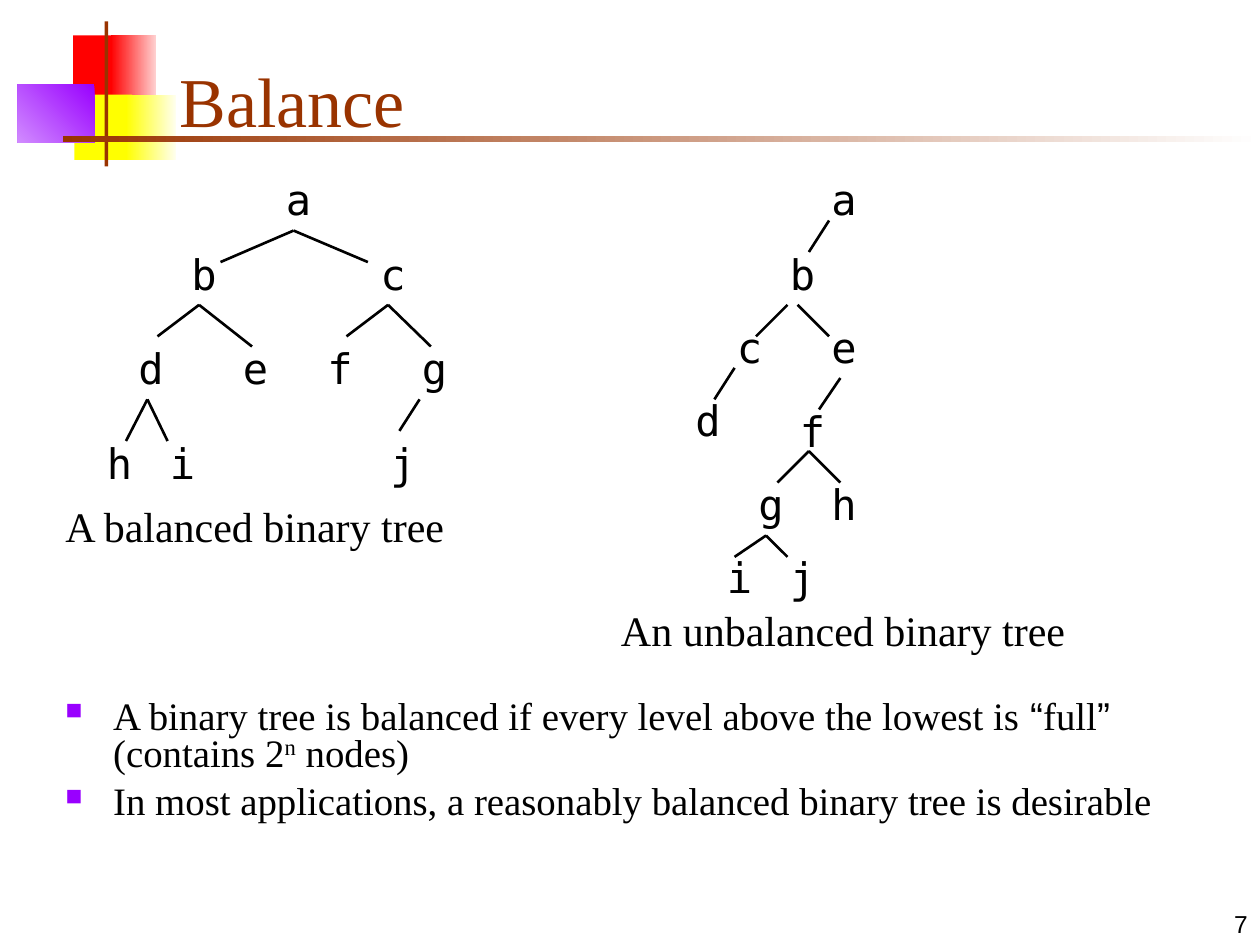
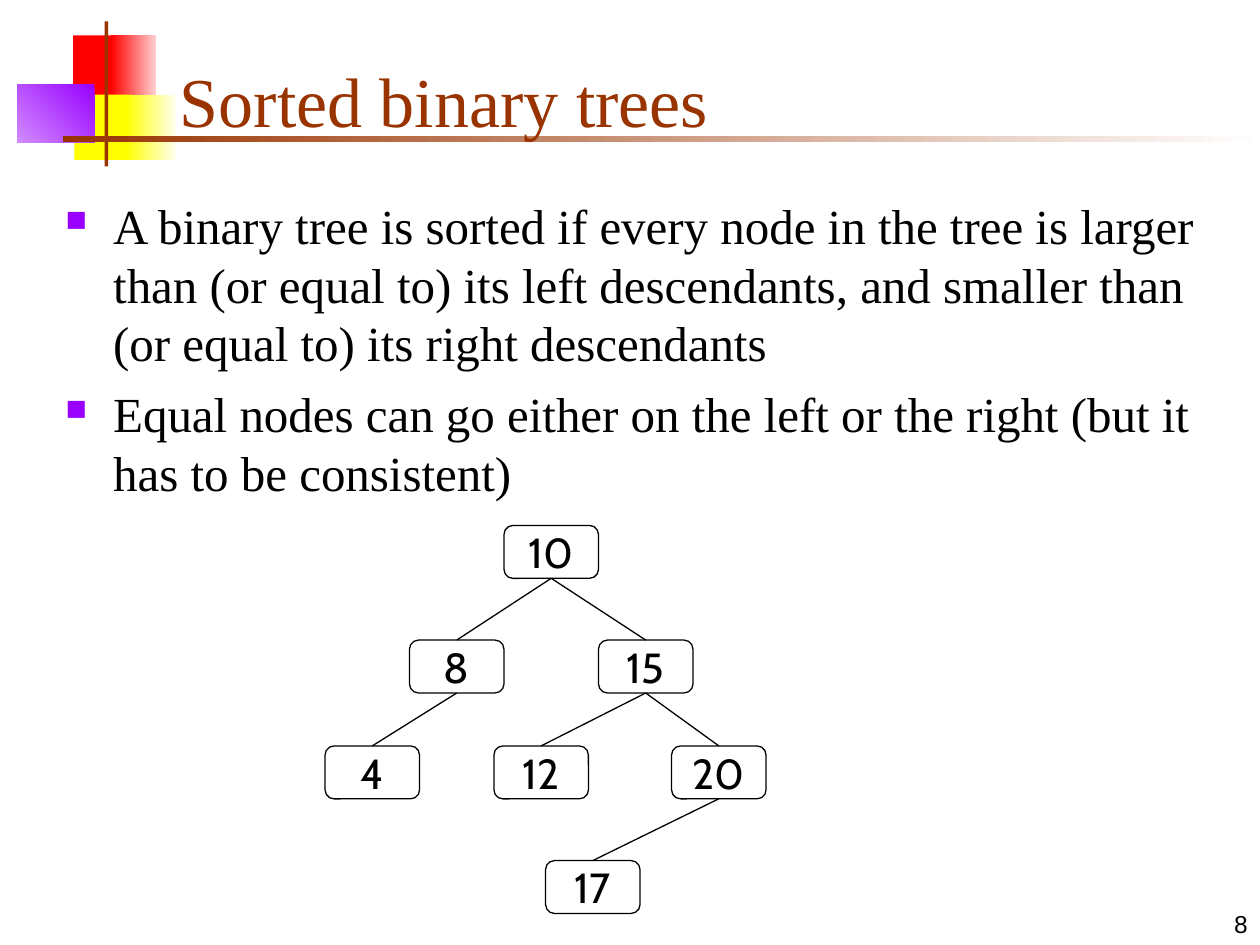
from lxml import etree
from pptx import Presentation
from pptx.dml.color import RGBColor
from pptx.enum.shapes import MSO_CONNECTOR, MSO_SHAPE
from pptx.enum.text import MSO_ANCHOR, PP_ALIGN
from pptx.oxml.ns import qn
from pptx.util import Inches, Pt

RECTANGLE, ROUNDED = MSO_SHAPE.RECTANGLE, MSO_SHAPE.ROUNDED_RECTANGLE
STRAIGHT = MSO_CONNECTOR.STRAIGHT
TOP, MIDDLE, BOTTOM = MSO_ANCHOR.TOP, MSO_ANCHOR.MIDDLE, MSO_ANCHOR.BOTTOM
LEFT, CENTER, RIGHT = PP_ALIGN.LEFT, PP_ALIGN.CENTER, PP_ALIGN.RIGHT

BLACK = RGBColor(0x00, 0x00, 0x00)
WHITE = RGBColor(0xFF, 0xFF, 0xFF)
BROWN = RGBColor(0x99, 0x33, 0x00)
RED = RGBColor(0xFF, 0x00, 0x00)
PALE_RED = RGBColor(0xFF, 0xD1, 0xD1)
YELLOW = RGBColor(0xFF, 0xFF, 0x00)
PALE_YELLOW = RGBColor(0xFF, 0xFF, 0xF0)
PURPLE = RGBColor(0x99, 0x00, 0xFF)
PALE_PURPLE = RGBColor(0xD1, 0x8B, 0xFF)

SERIF, SANS, MONO, ROUND = "Times New Roman", "Arial", "DejaVu Sans Mono", "Cabin"

BANDS = [
    ((0.58, 0.28, 0.35, 0.52), (RED,), 0),
    ((0.88, 0.28, 0.36, 0.52), (PALE_RED, RED), 180),
    ((0.59, 0.75, 0.46, 0.52), (YELLOW,), 0),
    ((1, 0.75, 0.4, 0.52), (PALE_YELLOW, YELLOW), 180),
    ((0.14, 0.67, 0.61, 0.46), (PURPLE, PALE_PURPLE), 225),
    ((0.83, 0.17, 0.03, 1.15), (BROWN,), 0),
    ((0.5, 1.08, 9.5, 0.05), (WHITE, BROWN), 180),
]

BALANCE_POINTS = [
    [("A binary tree is balanced if every level above the lowest is ", SERIF, 0),
     ("“", SANS, 0), ("full", SERIF, 0), ("”", SANS, 0),
     (" (contains 2", SERIF, 0), ("n", SERIF, 30), (" nodes)", SERIF, 0)],
    [("In most applications, a reasonably balanced binary tree is desirable", SERIF, 0)],
]
SORTED_POINTS = [
    [("A binary tree is sorted if every node in the tree is larger than (or equal to) "
      "its left descendants, and smaller than (or equal to) its right descendants", SERIF, 0)],
    [("Equal nodes can go either on the left or the right (but it has to be consistent)",
      SERIF, 0)],
]

LETTER_TREES = [
    {
        "caption": ("A balanced binary tree", (0.42, 3.92, 3.42, 0.5)),
        "rows": [
            (1.33, {"a": 2.17}),
            (1.92, {"b": 1.42, "c": 2.92}),
            (2.67, {"d": 1, "e": 1.83, "f": 2.5, "g": 3.25}),
            (3.42, {"h": 0.75, "i": 1.25, "j": 3}),
        ],
        "branches": [
            ((2.33, 1.83), [(1.75, 2.08), (2.92, 2.08)]),
            ((1.58, 2.42), [(1.25, 2.67), (2, 2.75)]),
            ((3.08, 2.42), [(2.75, 2.67), (3.42, 2.75)]),
            ((1.17, 3.17), [(1, 3.5), (1.33, 3.5)]),
            ((3.33, 3.17), [(3.17, 3.42)]),
        ],
    },
    {
        "caption": ("An unbalanced binary tree", (4.83, 4.75, 3.75, 0.5)),
        "rows": [
            (1.33, {"a": 6.5}),
            (1.92, {"b": 6.17}),
            (2.5, {"c": 5.75, "e": 6.5}),
            (3.08, {"d": 5.42}),
            (3.17, {"f": 6.25}),
            (3.75, {"g": 5.92, "h": 6.5}),
            (4.33, {"i": 5.67, "j": 6.17}),
        ],
        "branches": [
            ((6.58, 1.75), [(6.42, 2)]),
            ((6.25, 2.42), [(6, 2.67)]),
            ((6.33, 2.42), [(6.58, 2.67)]),
            ((5.83, 2.92), [(5.67, 3.17)]),
            ((6.67, 3), [(6.5, 3.25)]),
            ((6.42, 3.58), [(6.17, 3.83), (6.67, 3.83)]),
            ((6.08, 4.25), [(5.83, 4.42), (6.25, 4.42)]),
        ],
    },
]
LETTER_WIDTH, LETTER_HEIGHT = 0.42, 0.5

NUMBER_NODES = {
    "10": (4, 4.17),
    "8": (3.25, 5.08), "15": (4.75, 5.08),
    "4": (2.58, 5.92), "12": (3.92, 5.92), "20": (5.33, 5.92),
    "17": (4.33, 6.83),
}
NUMBER_CHILDREN = {"10": ["8", "15"], "8": ["4"], "15": ["12", "20"], "20": ["17"]}
NUMBER_WIDTH, NUMBER_HEIGHT = 0.75, 0.42


def inches(values):
    return [Inches(value) for value in values]


def style_font(font, name, size, color=BLACK):
    font.name, font.size = name, Pt(size)
    font.color.rgb = color


def write(box, text, name, size, color=BLACK, align=LEFT, anchor=TOP, wrap=True):
    frame = box.text_frame
    frame.text = text
    frame.word_wrap = wrap
    frame.vertical_anchor = anchor
    para = frame.paragraphs[0]
    para.alignment = align
    style_font(para.runs[0].font, name, size, color)


def add_text(page, place, text, name, size, **options):
    write(page.shapes.add_textbox(*inches(place)), text, name, size, **options)


def add_band(page, place, colors, angle):
    band = page.shapes.add_shape(RECTANGLE, *inches(place))
    band.shadow.inherit = False
    band.line.fill.background()
    if len(colors) == 1:
        band.fill.solid()
        band.fill.fore_color.rgb = colors[0]
        return
    band.fill.gradient()
    band.fill.gradient_angle = angle
    for stop, color in zip(band.fill.gradient_stops, colors):
        stop.color.rgb = color


def add_line(page, start, end, width):
    line = page.shapes.add_connector(STRAIGHT, *inches(start + end))
    line.line.color.rgb = BLACK
    line.line.width = Pt(width)
    etree.SubElement(line._element.spPr, qn("a:effectLst"))


def add_bullet(para):
    props = para._p.get_or_add_pPr()
    props.set("marL", str(Inches(0.38)))
    props.set("indent", str(-Inches(0.38)))
    color = etree.SubElement(props, qn("a:buClr"))
    etree.SubElement(color, qn("a:srgbClr")).set("val", str(PURPLE))
    etree.SubElement(props, qn("a:buSzPct")).set("val", "60000")
    etree.SubElement(props, qn("a:buChar")).set("char", "■")


def add_points(page, place, points, size, gap, spacing=None):
    frame = page.shapes.add_textbox(*inches(place)).text_frame
    frame.word_wrap = True
    for index, pieces in enumerate(points):
        para = frame.add_paragraph() if index else frame.paragraphs[0]
        add_bullet(para)
        para.space_before = Pt(gap if index else 0)
        if spacing:
            para.line_spacing = spacing
        for text, name, raised in pieces:
            span = para.add_run()
            span.text = text
            style_font(span.font, name, size)
            if raised:
                span._r.get_or_add_rPr().set("baseline", str(raised * 1000))


def add_page(deck, title, number):
    page = deck.slides.add_slide(deck.slide_layouts[6])
    for band in BANDS:
        add_band(page, *band)
    add_text(page, (7.92, 7, 2.08, 0.5), str(number), SANS, 14, align=RIGHT, anchor=BOTTOM)
    add_text(page, (1.33, 0.25, 8.52, 0.92), title, SERIF, 40, color=BROWN, anchor=BOTTOM)
    return page


def add_letter_tree(page, tree):
    for top, letters in tree["rows"]:
        for letter, left in letters.items():
            add_text(page, (left, top, LETTER_WIDTH, LETTER_HEIGHT), letter, MONO, 24)
    for start, ends in tree["branches"]:
        for end in ends:
            add_line(page, start, end, 1.5)
    caption, place = tree["caption"]
    add_text(page, place, caption, SERIF, 24)


def add_number_tree(page):
    for label, (left, top) in NUMBER_NODES.items():
        node = page.shapes.add_shape(
            ROUNDED, *inches((left, top, NUMBER_WIDTH, NUMBER_HEIGHT)))
        node.shadow.inherit = False
        node.adjustments[0] = 0.17
        node.fill.background()
        node.line.color.rgb = BLACK
        node.line.width = Pt(0.75)
        write(node, label, ROUND, 24, align=CENTER, anchor=MIDDLE, wrap=False)
    half = NUMBER_WIDTH / 2
    for parent, children in NUMBER_CHILDREN.items():
        left, top = NUMBER_NODES[parent]
        for child in children:
            child_left, child_top = NUMBER_NODES[child]
            add_line(page, (left + half, top + NUMBER_HEIGHT),
                     (child_left + half, child_top), 0.75)


def main():
    deck = Presentation()
    deck.slide_width, deck.slide_height = inches((10, 7.5))

    balance = add_page(deck, "Balance", 7)
    add_points(balance, (0.42, 5.51, 9.38, 1.19), BALANCE_POINTS, 22.2, 6, 0.8)
    for tree in LETTER_TREES:
        add_letter_tree(balance, tree)

    sorted_trees = add_page(deck, "Sorted binary trees", 8)
    add_points(sorted_trees, (0.42, 1.5, 9.38, 5.21), SORTED_POINTS, 28, 7)
    add_number_tree(sorted_trees)

    deck.save("out.pptx")


if __name__ == "__main__":
    main()
